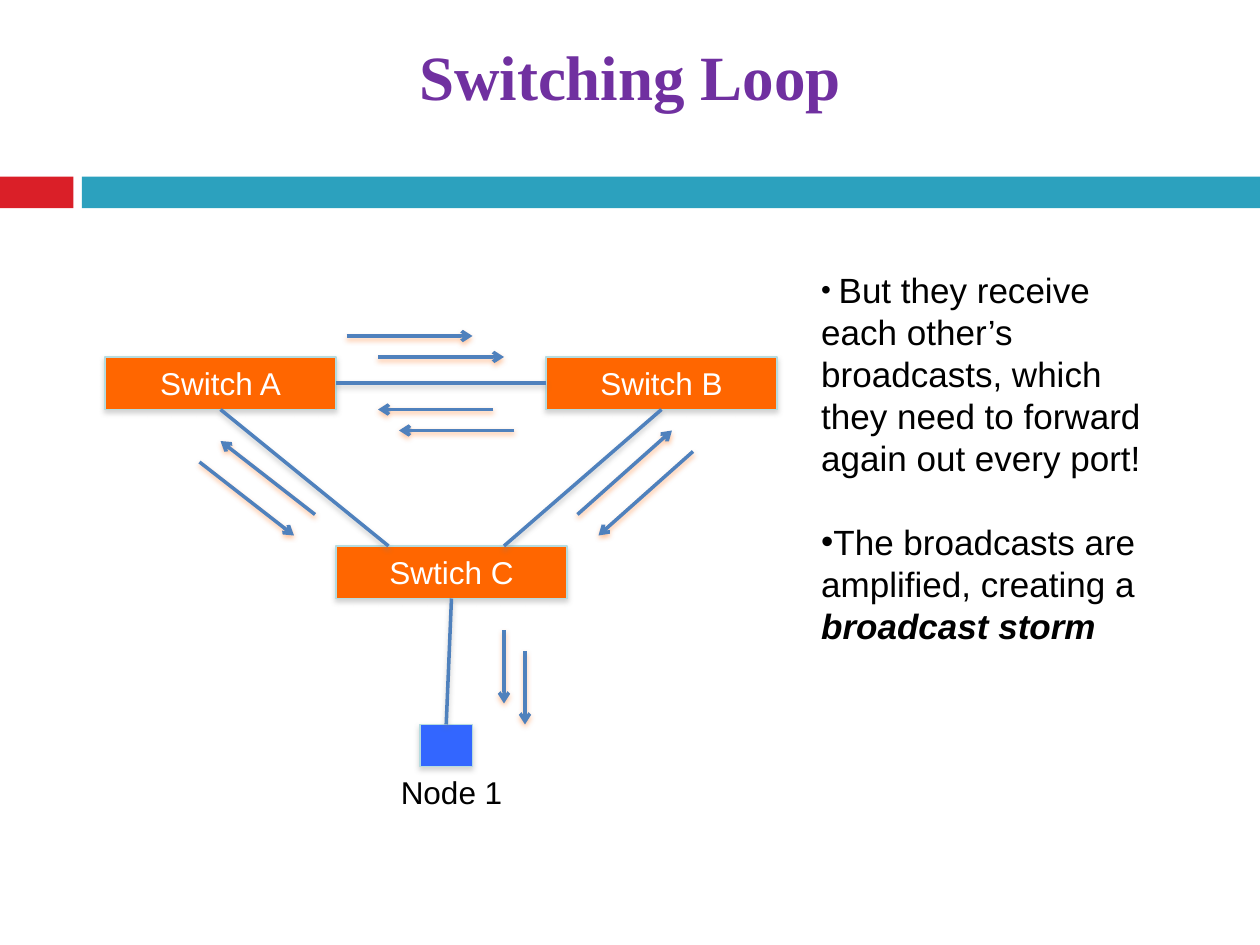
from lxml.etree import SubElement
from pptx import Presentation
from pptx.dml.color import RGBColor
from pptx.enum.shapes import MSO_CONNECTOR, MSO_SHAPE
from pptx.enum.text import MSO_ANCHOR, MSO_AUTO_SIZE, PP_ALIGN
from pptx.oxml.ns import qn
from pptx.util import Cm, Pt

RED = RGBColor(0xDA, 0x1F, 0x28)
TEAL = RGBColor(0x2C, 0xA1, 0xBE)
PURPLE = RGBColor(0x70, 0x30, 0xA0)
ORANGE = RGBColor(0xFF, 0x66, 0x00)
BLUE = RGBColor(0x33, 0x66, 0xFF)
LINE_BLUE = RGBColor(0x4F, 0x81, 0xBD)
PALE = RGBColor(0xB6, 0xDC, 0xDF)
GRAY = RGBColor(0x80, 0x80, 0x80)
WHITE = RGBColor(0xFF, 0xFF, 0xFF)
BLACK = RGBColor(0x00, 0x00, 0x00)


def grid(n):
    """Length of n diagram grid steps, twelve to the inch."""
    return Cm(n * 2.54 / 12)


class SlideBuilder:
    font = "Arial"

    def __init__(self, slide):
        self.s = slide

    def run(self, p, text, size, color=BLACK, font=None, bold=False, italic=False):
        r = p.add_run()
        r.text = text
        f = r.font
        f.name, f.size, f.bold, f.italic = font or self.font, Pt(size), bold, italic
        f.color.rgb = color

    def shadow(self, sp, color, opacity):
        effects = SubElement(sp._element.spPr, qn("a:effectLst"))
        outer = SubElement(effects, qn("a:outerShdw"), blurRad=str(Pt(3.1)),
                           dist=str(Pt(1.7)), dir="5400000", rotWithShape="0")
        clr = SubElement(outer, qn("a:srgbClr"), val=str(color))
        SubElement(clr, qn("a:alpha"), val=str(opacity * 1000))

    def place(self, sp, left, top, width, height):
        sp.left, sp.top, sp.width, sp.height = Cm(left), Cm(top), Cm(width), Cm(height)

    def title(self, text):
        sp = self.s.shapes.title
        self.place(sp, 1.27, 0.76, 22.86, 1.55)
        tf = sp.text_frame
        tf.margin_left = tf.margin_right = tf.margin_top = tf.margin_bottom = 0
        tf.vertical_anchor = MSO_ANCHOR.TOP
        tf.auto_size = MSO_AUTO_SIZE.SHAPE_TO_FIT_TEXT
        p = tf.paragraphs[0]
        p.alignment = PP_ALIGN.CENTER
        self.run(p, text, 36, PURPLE, "Times New Roman", bold=True)

    def bullets(self, items):
        """Each item is a list of (text, size, emphasised) runs."""
        sp = self.s.placeholders[1]
        self.place(sp, 16.3, 5.29, 6.99, 9.5)
        tf = sp.text_frame
        tf.auto_size = MSO_AUTO_SIZE.SHAPE_TO_FIT_TEXT
        for i, runs in enumerate(items):
            p = tf.add_paragraph() if i else tf.paragraphs[0]
            p.space_before = Pt(24 if i else 0)
            pPr = p._p.get_or_add_pPr()
            pPr.set("marL", "0")
            pPr.set("indent", "0")
            SubElement(pPr, qn("a:buFont"), typeface=self.font)
            SubElement(pPr, qn("a:buChar"), char="•")
            for text, size, strong in runs:
                self.run(p, text, size, bold=strong, italic=strong)

    def bar(self, left, width, color):
        sp = self.s.shapes.add_shape(MSO_SHAPE.RECTANGLE, Cm(left), Cm(3.56), Cm(width), Cm(0.64))
        sp.shadow.inherit = False
        sp.fill.solid()
        sp.fill.fore_color.rgb = color
        sp.line.fill.background()

    def box(self, x, y, w, h, color, text=""):
        sp = self.s.shapes.add_shape(MSO_SHAPE.RECTANGLE, grid(x), grid(y), grid(w), grid(h))
        sp.fill.solid()
        sp.fill.fore_color.rgb = color
        sp.line.color.rgb = PALE
        sp.line.width = Pt(0.75)
        self.shadow(sp, GRAY, 35)
        if text:
            tf = sp.text_frame
            tf.vertical_anchor = MSO_ANCHOR.MIDDLE
            p = tf.paragraphs[0]
            p.alignment = PP_ALIGN.CENTER
            self.run(p, text, 18, WHITE)
        return sp

    def connector(self, x1, y1, x2, y2, shadow):
        c = self.s.shapes.add_connector(MSO_CONNECTOR.STRAIGHT, grid(x1), grid(y1), grid(x2), grid(y2))
        c.line.color.rgb = LINE_BLUE
        c.line.width = Pt(2)
        self.shadow(c, shadow, 38)
        return c

    def link(self, points, begin=None, end=None):
        c = self.connector(*points, GRAY)
        if begin:
            c.begin_connect(*begin)
        if end:
            c.end_connect(*end)

    def arrow(self, *points):
        c = self.connector(*points, ORANGE)
        SubElement(c.line._get_or_add_ln(), qn("a:tailEnd"), type="arrow")

    def label(self, left, top, width, height, text):
        tb = self.s.shapes.add_textbox(Cm(left), Cm(top), Cm(width), Cm(height))
        tf = tb.text_frame
        tf.word_wrap = False
        tf.auto_size = MSO_AUTO_SIZE.SHAPE_TO_FIT_TEXT
        self.run(tf.paragraphs[0], text, 18)


def main():
    prs = Presentation()
    prs.slide_width, prs.slide_height = Cm(25.4), Cm(19.05)
    b = SlideBuilder(prs.slides.add_slide(prs.slide_layouts[1]))

    # Heading and divider bars
    b.bar(0, 1.48, RED)
    b.bar(1.65, 23.75, TEAL)
    b.title("Switching Loop")

    # Switches and node
    switch_a, switch_b, switch_c = (
        b.box(x, y, 22, 5, ORANGE, name)
        for x, y, name in ((10, 34, "Switch A"), (52, 34, "Switch B"), (32, 52, "Swtich C")))
    node = b.box(40, 69, 5, 4, BLUE)
    b.label(7.83, 15.45, 2.59, 1.02, "Node 1")

    # Cables
    b.link((37, 52, 21, 39), end=(switch_a, 2))
    b.link((48, 52, 63, 39), end=(switch_b, 2))
    b.link((32, 36.5, 52, 36.5), (switch_a, 3), (switch_b, 1))
    b.link((42.5, 69, 43, 57), (node, 0), (switch_c, 2))

    # Broadcast traffic
    for points in (
        (33, 32, 45, 32), (36, 34, 48, 34),  # A to B
        (47, 39, 36, 39), (49, 41, 38, 41),  # B to A
        (30, 49, 21, 42), (19, 44, 28, 51),  # A and C
        (55, 49, 64, 41), (66, 43, 57, 51),  # B and C
        (48, 60, 48, 67), (50, 62, 50, 69),  # C to node
    ):
        b.arrow(*points)

    # Explanation
    b.bullets([
        [(" ", 16, False),
         ("But they receive each other’s broadcasts, which they need to forward again out every port!",
          20, False)],
        [("The broadcasts are amplified, creating a ", 20, False), ("broadcast storm", 20, True)],
    ])

    prs.save("out.pptx")


if __name__ == "__main__":
    main()
